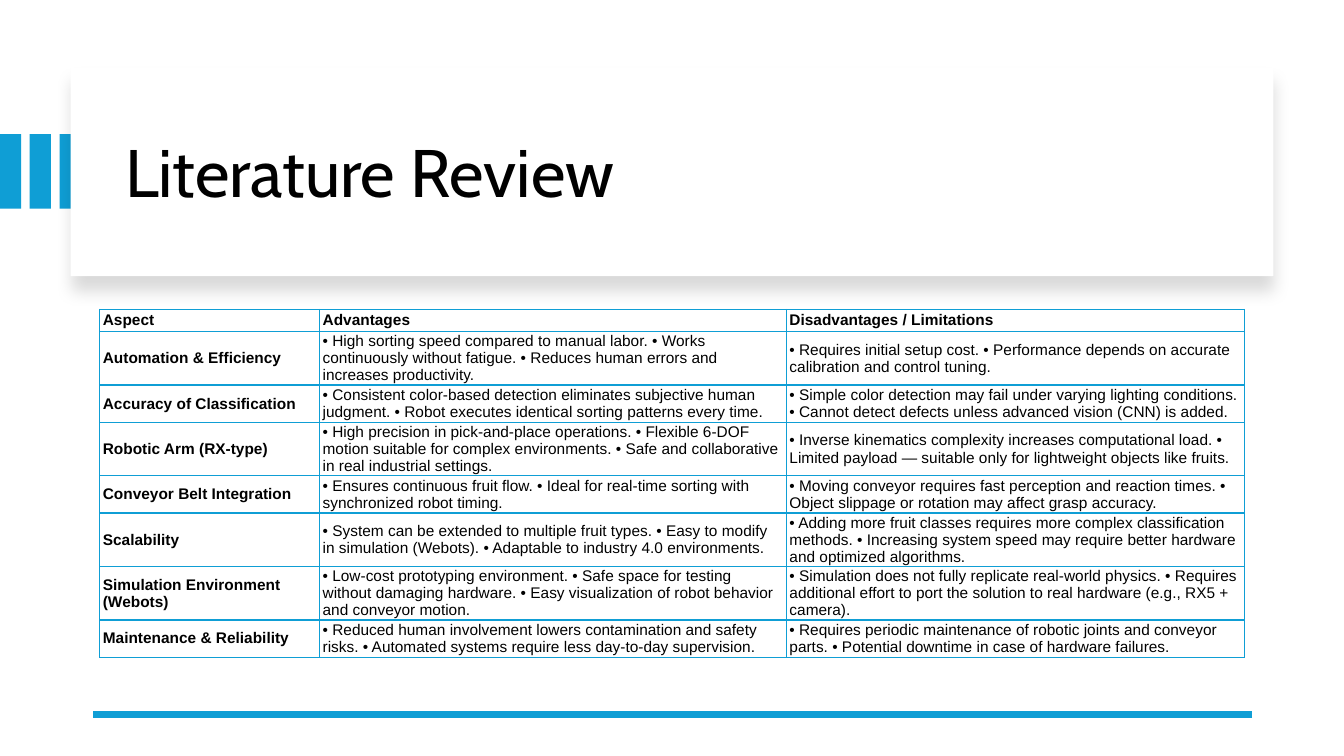
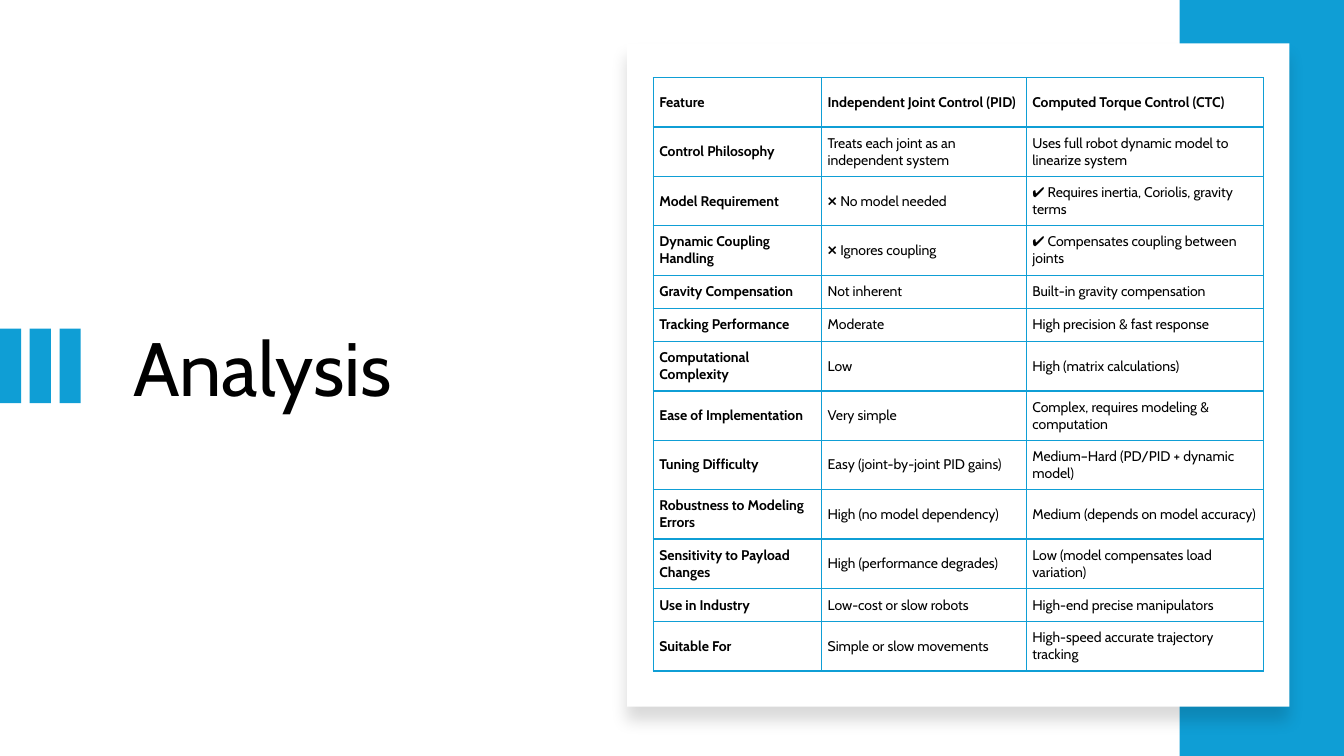
"""Build two slides that compare sorting-robot literature and joint control methods."""
from lxml import etree
from pptx import Presentation
from pptx.dml.color import RGBColor
from pptx.enum.shapes import MSO_CONNECTOR, MSO_SHAPE
from pptx.enum.text import MSO_ANCHOR, MSO_AUTO_SIZE, PP_ALIGN
from pptx.oxml.ns import qn
from pptx.util import Inches, Pt

RECTANGLE, STRAIGHT = MSO_SHAPE.RECTANGLE, MSO_CONNECTOR.STRAIGHT
MIDDLE, TOP = MSO_ANCHOR.MIDDLE, MSO_ANCHOR.TOP
LEFT, FIXED_SIZE = PP_ALIGN.LEFT, MSO_AUTO_SIZE.NONE
BLUE = RGBColor(0x0F, 0x9E, 0xD5)
WHITE = RGBColor(0xFF, 0xFF, 0xFF)
BLACK = RGBColor(0, 0, 0)
HEAD_FONT, BODY_FONT = "Cabin", "Arial"
WIDTH, HEIGHT = 13.33, 7.5
BAR_COUNT, BAR_PITCH, BAR_WIDTH, BAR_HEIGHT = 3, 0.295, 0.21, 0.74

REVIEW = [
    ("Aspect", "Advantages", "Disadvantages / Limitations"),
    ("Automation & Efficiency",
     "• High sorting speed compared to manual labor. • Works continuously without fatigue. "
     "• Reduces human errors and increases productivity.",
     "• Requires initial setup cost. • Performance depends on accurate calibration and control tuning."),
    ("Accuracy of Classification",
     "• Consistent color-based detection eliminates subjective human judgment. "
     "• Robot executes identical sorting patterns every time.",
     "• Simple color detection may fail under varying lighting conditions. "
     "• Cannot detect defects unless advanced vision (CNN) is added."),
    ("Robotic Arm (RX-type)",
     "• High precision in pick-and-place operations. • Flexible 6-DOF motion suitable for "
     "complex environments. • Safe and collaborative in real industrial settings.",
     "• Inverse kinematics complexity increases computational load. "
     "• Limited payload — suitable only for lightweight objects like fruits."),
    ("Conveyor Belt Integration",
     "• Ensures continuous fruit flow. • Ideal for real-time sorting with synchronized robot timing.",
     "• Moving conveyor requires fast perception and reaction times. "
     "• Object slippage or rotation may affect grasp accuracy."),
    ("Scalability",
     "• System can be extended to multiple fruit types. • Easy to modify in simulation (Webots). "
     "• Adaptable to industry 4.0 environments.",
     "• Adding more fruit classes requires more complex classification methods. "
     "• Increasing system speed may require better hardware and optimized algorithms."),
    ("Simulation Environment (Webots)",
     "• Low-cost prototyping environment. • Safe space for testing without damaging hardware. "
     "• Easy visualization of robot behavior and conveyor motion.",
     "• Simulation does not fully replicate real-world physics. • Requires additional effort "
     "to port the solution to real hardware (e.g., RX5 + camera)."),
    ("Maintenance & Reliability",
     "• Reduced human involvement lowers contamination and safety risks. "
     "• Automated systems require less day-to-day supervision.",
     "• Requires periodic maintenance of robotic joints and conveyor parts. "
     "• Potential downtime in case of hardware failures."),
]
ANALYSIS = [
    ("Feature", "Independent Joint Control (PID)", "Computed Torque Control (CTC)"),
    ("Control Philosophy", "Treats each joint as an independent system",
     "Uses full robot dynamic model to linearize system"),
    ("Model Requirement", "❌ No model needed", "✔ Requires inertia, Coriolis, gravity terms"),
    ("Dynamic Coupling Handling", "❌ Ignores coupling", "✔ Compensates coupling between joints"),
    ("Gravity Compensation", "Not inherent", "Built-in gravity compensation"),
    ("Tracking Performance", "Moderate", "High precision & fast response"),
    ("Computational Complexity", "Low", "High (matrix calculations)"),
    ("Ease of Implementation", "Very simple", "Complex, requires modeling & computation"),
    ("Tuning Difficulty", "Easy (joint-by-joint PID gains)", "Medium–Hard (PD/PID + dynamic model)"),
    ("Robustness to Modeling Errors", "High (no model dependency)", "Medium (depends on model accuracy)"),
    ("Sensitivity to Payload Changes", "High (performance degrades)",
     "Low (model compensates load variation)"),
    ("Use in Industry", "Low-cost or slow robots", "High-end precise manipulators"),
    ("Suitable For", "Simple or slow movements", "High-speed accurate trajectory tracking"),
]
REVIEW_LINES = (1, 3, 2, 3, 2, 3, 3, 2)
ANALYSIS_LINES = (2, 2, 2, 2, 1, 1, 2, 2, 2, 2, 2, 1, 2)


def write(frame, text, *, size, font, bold=False, spacing=1.0, anchor=None):
    """Put one formatted paragraph in a text frame."""
    frame.word_wrap = True
    if anchor is not None:
        frame.vertical_anchor = anchor
    paragraph = frame.paragraphs[0]
    paragraph.alignment, paragraph.line_spacing = LEFT, spacing
    run = paragraph.add_run()
    run.text = text
    run.font.size, run.font.name, run.font.bold = Pt(size), font, bold
    run.font.color.rgb = BLACK


def add_panel(shapes, left, top, width, height, color):
    """Add a plain filled rectangle."""
    panel = shapes.add_shape(RECTANGLE, *map(Inches, (left, top, width, height)))
    panel.fill.solid()
    panel.fill.fore_color.rgb = color
    panel.line.fill.background()
    panel.shadow.inherit = False
    return panel


def add_bars(slide, top):
    """Add the blue bars at the left edge."""
    bars = slide.shapes.add_group_shape()
    for index in range(BAR_COUNT):
        add_panel(bars.shapes, index * BAR_PITCH, top, BAR_WIDTH, BAR_HEIGHT, BLUE)


def add_card(slide, *box):
    """Add a white card with a soft shadow below it."""
    card = add_panel(slide.shapes, *box, WHITE)
    effects = card.element.spPr.find(qn("a:effectLst"))
    shadow = etree.SubElement(effects, qn("a:outerShdw"), blurRad=str(Pt(11)),
                              dist=str(Pt(10)), dir="5400000", algn="t", rotWithShape="0")
    color = etree.SubElement(shadow, qn("a:srgbClr"), val=str(BLACK))
    etree.SubElement(color, qn("a:alpha"), val="15000")


def add_title(slide, text, box, size, anchor):
    """Place the title in front of the panels."""
    title = slide.shapes.title
    title.left, title.top, title.width, title.height = map(Inches, box)
    title.text_frame.auto_size = FIXED_SIZE
    write(title.text_frame, text, size=size, font=HEAD_FONT, spacing=0.9, anchor=anchor)
    title.element.getparent().append(title.element)


def add_borders(cell):
    """Draw a thin blue line on each side of a cell."""
    properties = cell._tc.get_or_add_tcPr()
    for side in ("lnL", "lnR", "lnT", "lnB"):
        line = etree.SubElement(properties, qn(f"a:{side}"), w=str(Pt(1)))
        fill = etree.SubElement(line, qn("a:solidFill"))
        etree.SubElement(fill, qn("a:srgbClr"), val=str(BLUE))


def add_comparison(slide, entries, left, top, columns, rows, insets, size, font):
    """Add a bordered table with a bold first row and first column."""
    box = map(Inches, (left, top, sum(columns), sum(rows)))
    table = slide.shapes.add_table(len(rows), len(columns), *box).table
    table.first_row = table.horz_banding = False
    for column, width in zip(table.columns, columns):
        column.width = Inches(width)
    for r, (entry, height) in enumerate(zip(entries, rows)):
        table.rows[r].height = Inches(height)
        for c, text in enumerate(entry):
            cell = table.cell(r, c)
            add_borders(cell)
            cell.fill.background()
            cell.vertical_anchor = MIDDLE
            cell.margin_left = cell.margin_right = Inches(insets[0])
            cell.margin_top = cell.margin_bottom = Inches(insets[1])
            write(cell.text_frame, text, size=size, font=font, bold=r == 0 or c == 0)


def build_review(slide):
    """Lay out the literature review."""
    add_bars(slide, 1.33)
    add_card(slide, 0.7, 0.67, 11.93, 2.07)
    add_title(slide, "Literature Review", (1.14, 0.89, 11.13, 1.7), 48, MIDDLE)
    rule = slide.shapes.add_connector(STRAIGHT, *map(Inches, (12.42, 7.09, 0.92, 7.09)))
    rule.line.color.rgb, rule.line.width = BLUE, Pt(4.5)
    etree.SubElement(rule.element.spPr, qn("a:effectLst"))
    rows = [0.05 + 0.16 * lines if lines > 1 else 0.22 for lines in REVIEW_LINES]
    add_comparison(slide, REVIEW, 0.99, 3.07, (2.18, 4.63, 4.54), rows, (0.03, 0.01), 11, BODY_FONT)


def build_analysis(slide):
    """Lay out the control analysis."""
    add_bars(slide, 3.26)
    add_panel(slide.shapes, 11.7, 0, WIDTH - 11.7, HEIGHT, BLUE)
    add_card(slide, 6.22, 0.43, 6.57, 6.58)
    add_title(slide, "Analysis", (1.22, 3.24, 4.41, 2.61), 54, TOP)
    rows = [0.17 + 0.16 * lines for lines in ANALYSIS_LINES]
    add_comparison(slide, ANALYSIS, 6.48, 0.77, (1.67, 2.03, 2.35), rows, (0.06, 0.06), 10, HEAD_FONT)


def main():
    """Build and save the deck."""
    deck = Presentation()
    deck.slide_width, deck.slide_height = Inches(WIDTH), Inches(HEIGHT)
    title_only = deck.slide_layouts[5]
    for build in (build_review, build_analysis):
        build(deck.slides.add_slide(title_only))
    deck.save("out.pptx")


if __name__ == "__main__":
    main()
